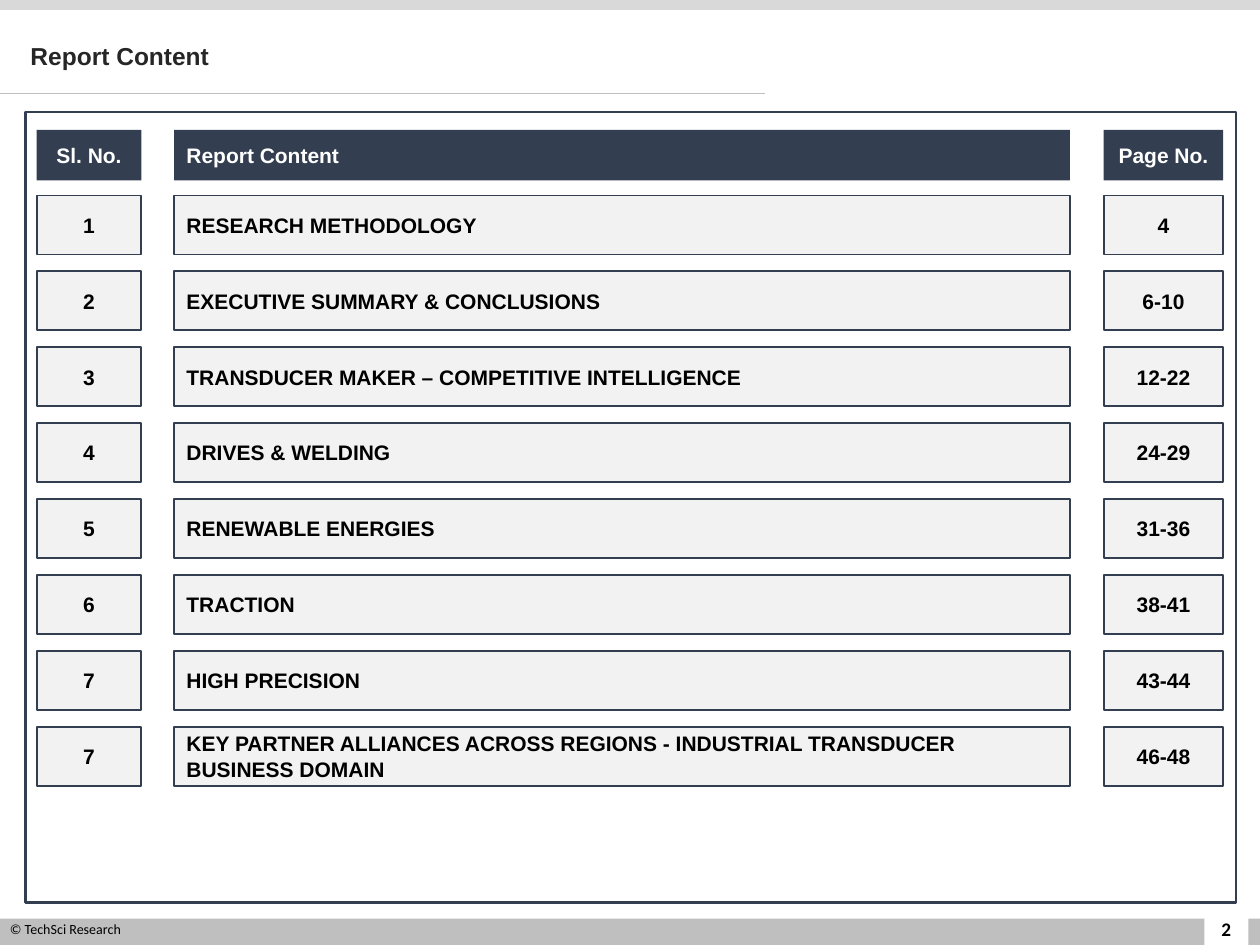
from lxml.etree import SubElement
from pptx import Presentation
from pptx.dml.color import RGBColor
from pptx.enum.shapes import MSO_CONNECTOR, MSO_SHAPE
from pptx.enum.text import MSO_ANCHOR, MSO_AUTO_SIZE, PP_ALIGN
from pptx.oxml.ns import qn
from pptx.util import Cm, Pt

# Content
TITLE = "Report Content"
COPYRIGHT = "© TechSci Research"
PAGE_NUMBER = "2"
HEADER = ("Sl. No.", "Report Content", "Page No.")
CHAPTERS = [
    ("1", "RESEARCH METHODOLOGY", "4"),
    ("2", "EXECUTIVE SUMMARY & CONCLUSIONS", "6-10"),
    ("3", "TRANSDUCER MAKER – COMPETITIVE INTELLIGENCE", "12-22"),
    ("4", "DRIVES & WELDING", "24-29"),
    ("5", "RENEWABLE ENERGIES", "31-36"),
    ("6", "TRACTION", "38-41"),
    ("7", "HIGH PRECISION", "43-44"),
    ("7", "KEY PARTNER ALLIANCES ACROSS REGIONS - INDUSTRIAL TRANSDUCER "
          "BUSINESS DOMAIN", "46-48"),
]

# Layout in centimetres: left, width and alignment of each column
COLUMNS = [
    (0.74, 2.11, PP_ALIGN.CENTER),
    (3.51, 18.06, PP_ALIGN.LEFT),
    (22.25, 2.41, PP_ALIGN.CENTER),
]
HEADER_TOP, HEADER_HEIGHT = 2.62, 1.02
FIRST_ROW_TOP, ROW_HEIGHT, ROW_STEP = 3.94, 1.19, 1.53
NAVY, PALE, SILVER = "333F50", "F2F2F2", "BFBFBF"


def color(value):
    return RGBColor.from_string(value)


def write(shape, text, size=12, font="Arial", ink="000000", bold=True,
          align=PP_ALIGN.LEFT, anchor=MSO_ANCHOR.MIDDLE, spacing=None):
    frame = shape.text_frame
    frame.word_wrap = True
    frame.auto_size = MSO_AUTO_SIZE.NONE
    frame.vertical_anchor = anchor
    para = frame.paragraphs[0]
    para.alignment = align
    para.line_spacing = spacing
    span = para.add_run()
    span.text = text
    span.font.size = Pt(size)
    span.font.name = font
    span.font.bold = bold
    span.font.color.rgb = color(ink)


def add_box(page, left, top, width, height, fill=None, line=None, weight=1):
    box = page.shapes.add_shape(MSO_SHAPE.RECTANGLE, Cm(left), Cm(top),
                                Cm(width), Cm(height))
    box.shadow.inherit = False
    if fill:
        box.fill.solid()
        box.fill.fore_color.rgb = color(fill)
    else:
        box.fill.background()
    if line:
        box.line.color.rgb = color(line)
        box.line.width = Pt(weight)
    else:
        box.line.fill.background()
    return box


def add_row(page, texts, top, height, fill, line=None, ink="000000"):
    for text, (left, width, align) in zip(texts, COLUMNS):
        box = add_box(page, left, top, width, height, fill, line)
        write(box, text, ink=ink, align=align)


def add_page_furniture(page):
    add_box(page, 0, 18.52, 25.4, 0.53, SILVER)
    add_box(page, 0, 0, 25.4, 0.2, "D9D9D9")
    add_box(page, 24.28, 18.11, 0.89, 0.94, "FFFFFF")
    number = page.shapes.add_textbox(Cm(24.1), Cm(18.21), Cm(1.24), Cm(1.02))
    write(number, PAGE_NUMBER, size=11, font="Calibri", align=PP_ALIGN.CENTER)
    notice = page.shapes.add_textbox(Cm(-0.05), Cm(18.44), Cm(5.23), Cm(0.94))
    write(notice, COPYRIGHT, size=8, font="Calibri", bold=False,
          anchor=MSO_ANCHOR.TOP)
    rule = page.shapes.add_connector(MSO_CONNECTOR.STRAIGHT, 0, Cm(1.88),
                                     Cm(15.42), Cm(1.88))
    rule.line.color.rgb = color(SILVER)
    rule.line.width = Pt(0.5)
    SubElement(rule._element.spPr, qn("a:effectLst"))


def main():
    deck = Presentation()
    deck.slide_width, deck.slide_height = Cm(25.4), Cm(19.05)
    page = deck.slides.add_slide(deck.slide_layouts[5])

    # Title, bars and footer
    title = page.shapes.title
    title.left, title.top = Cm(0.36), Cm(0.53)
    title.width, title.height = Cm(21.84), Cm(1.27)
    write(title, TITLE, size=14, ink="262626", spacing=0.9)
    add_page_furniture(page)

    # Framed list of chapters
    add_box(page, 0.51, 2.26, 24.41, 15.93, line=NAVY, weight=1.5)
    add_row(page, HEADER, HEADER_TOP, HEADER_HEIGHT, NAVY, ink="FFFFFF")
    for index, chapter in enumerate(CHAPTERS):
        top = FIRST_ROW_TOP + index * ROW_STEP
        add_row(page, chapter, top, ROW_HEIGHT, PALE, line=NAVY)

    deck.save("out.pptx")


if __name__ == "__main__":
    main()
